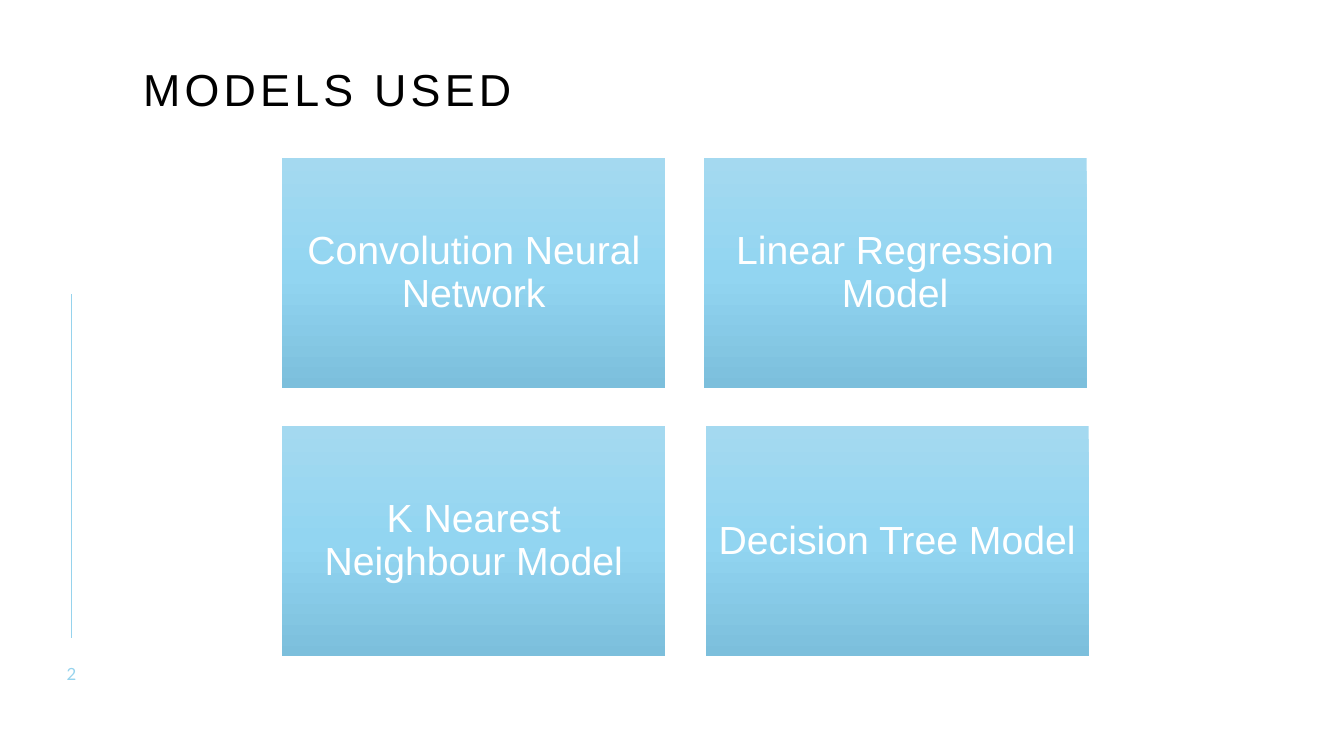
from copy import deepcopy

from pptx import Presentation
from pptx.dml.color import RGBColor as RGB
from pptx.enum.shapes import MSO_CONNECTOR as Line, MSO_SHAPE as Preset
from pptx.enum.text import MSO_ANCHOR as Anchor, PP_ALIGN as Align
from pptx.oxml.ns import qn
from pptx.oxml.xmlchemy import OxmlElement
from pptx.util import Pt

COLORS = {
    "ink": "000000",
    "white": "FFFFFF",
    "accent": "96D3ED",
    "card_top": "A4D9F0",
    "card_middle": "92D5F1",
    "card_bottom": "7CBFDC",
}


class SlideBuilder:
    """Holds the style and the current slide, and adds each kind of element."""

    def __init__(self, slide, colors):
        self.slide = slide
        self.colors = {name: RGB.from_string(value) for name, value in colors.items()}

    def fill_text(self, shape, words, color, font, frame, paragraph, tracking=0):
        body = shape.text_frame
        line = body.paragraphs[0]
        run = line.add_run()
        run.text = words
        run.font.color.rgb = self.colors[color]
        if tracking:
            run._r.get_or_add_rPr().set("spc", str(tracking * 100))
        for target, values in ((body, frame), (line, paragraph), (run.font, font)):
            for name, value in values.items():
                setattr(target, name, value)

    def text(self, box, words, color, font, frame, paragraph, tracking):
        label = self.slide.shapes.add_textbox(*map(Pt, box))
        self.fill_text(label, words, color, font, frame, paragraph, tracking)

    def card(self, box, words, color, font, frame, paragraph):
        card = self.slide.shapes.add_shape(Preset.RECTANGLE, *map(Pt, box))
        card.shadow.inherit = False
        card.line.fill.background()
        card.fill.gradient()
        card.fill.gradient_angle = 270
        stops = card.element.spPr.find(qn("a:gradFill")).find(qn("a:gsLst"))
        stops.insert(1, deepcopy(stops[0]))
        shades = ("card_top", "card_middle", "card_bottom")
        for index, (stop, shade) in enumerate(zip(card.fill.gradient_stops, shades)):
            stop.position = index / 2
            stop.color.rgb = self.colors[shade]
        self.fill_text(card, words, color, font, frame, paragraph)

    def rule(self, start, end, color, width):
        rule = self.slide.shapes.add_connector(Line.STRAIGHT, *map(Pt, start + end))
        rule.line.color.rgb = self.colors[color]
        rule.line.width = Pt(width)
        rule._element.spPr.append(OxmlElement("a:effectLst"))


def insets(size):
    sides = ("left", "top", "right", "bottom")
    return {f"margin_{side}": Pt(size) for side in sides}


def main():
    deck = Presentation()
    deck.slide_width, deck.slide_height = Pt(960), Pt(540)
    builder = SlideBuilder(deck.slides.add_slide(deck.slide_layouts[6]), COLORS)

    flush = {"word_wrap": True, **insets(0)}
    centered = {"alignment": Align.CENTER}

    builder.rule((51.12, 210.24), (51.12, 455.76), "accent", 1)
    builder.text((102.24, 48.24, 792, 72), "MODELS USED", "ink",
                 {"name": "Arial", "size": Pt(32)},
                 {"vertical_anchor": Anchor.TOP, **flush},
                 {"line_spacing": 0.9}, tracking=3)
    builder.text((33.12, 473.76, 36, 14.4), "2", "accent",
                 {"name": "Lato", "size": Pt(12)},
                 {"vertical_anchor": Anchor.MIDDLE, **flush},
                 {"space_after": Pt(6), **centered}, tracking=2)

    left, top, width, height = 201.6, 113.04, 273.6, 164.16
    row_gap = 27.36
    model_rows = (
        (27.36, ("Convolution Neural Network", "Linear Regression Model")),
        (28.8, ("K Nearest Neighbour Model", "Decision Tree Model")),
    )
    for row, (column_gap, models) in enumerate(model_rows):
        for column, model in enumerate(models):
            box = (left + column * (width + column_gap),
                   top + row * (height + row_gap), width, height)
            builder.card(box, model, "white",
                         {"name": "Arial", "size": Pt(28)},
                         {"word_wrap": True, "vertical_anchor": Anchor.MIDDLE,
                          **insets(8.64)},
                         {"line_spacing": 0.9, **centered})

    deck.save("out.pptx")


if __name__ == "__main__":
    main()
